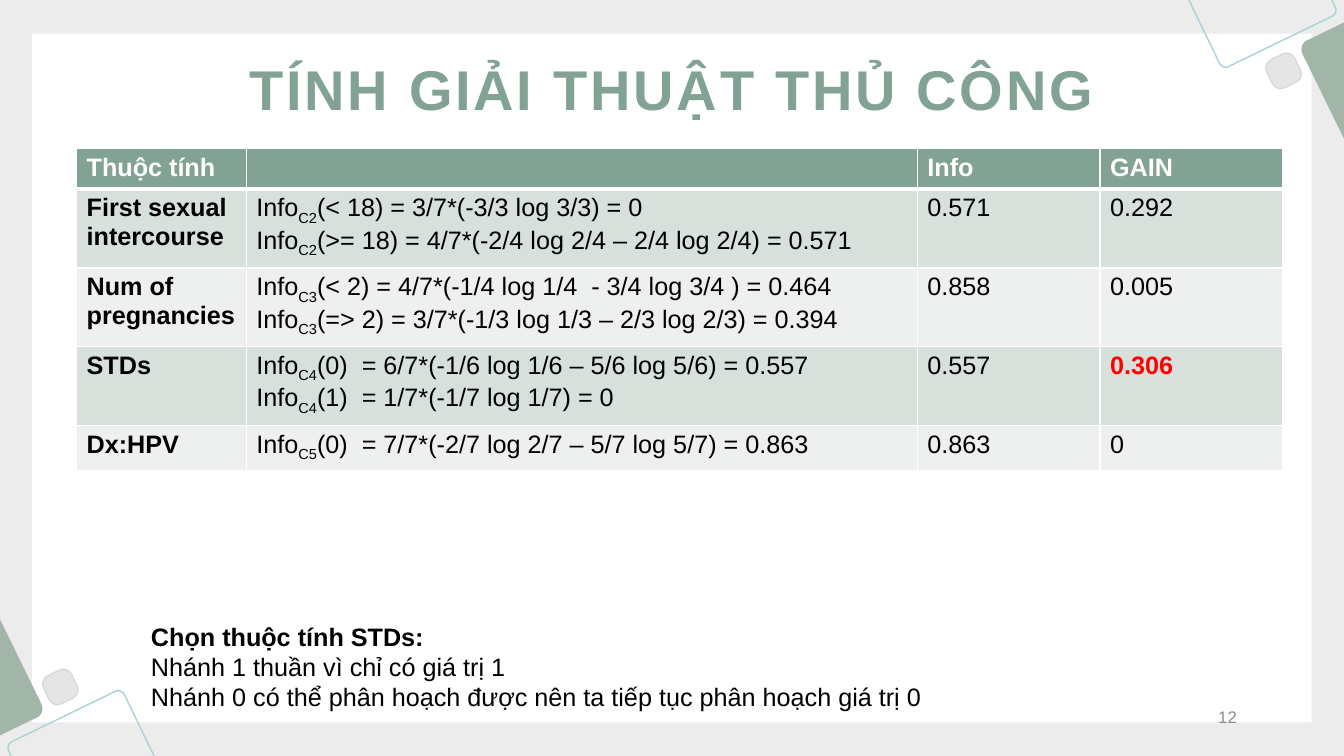
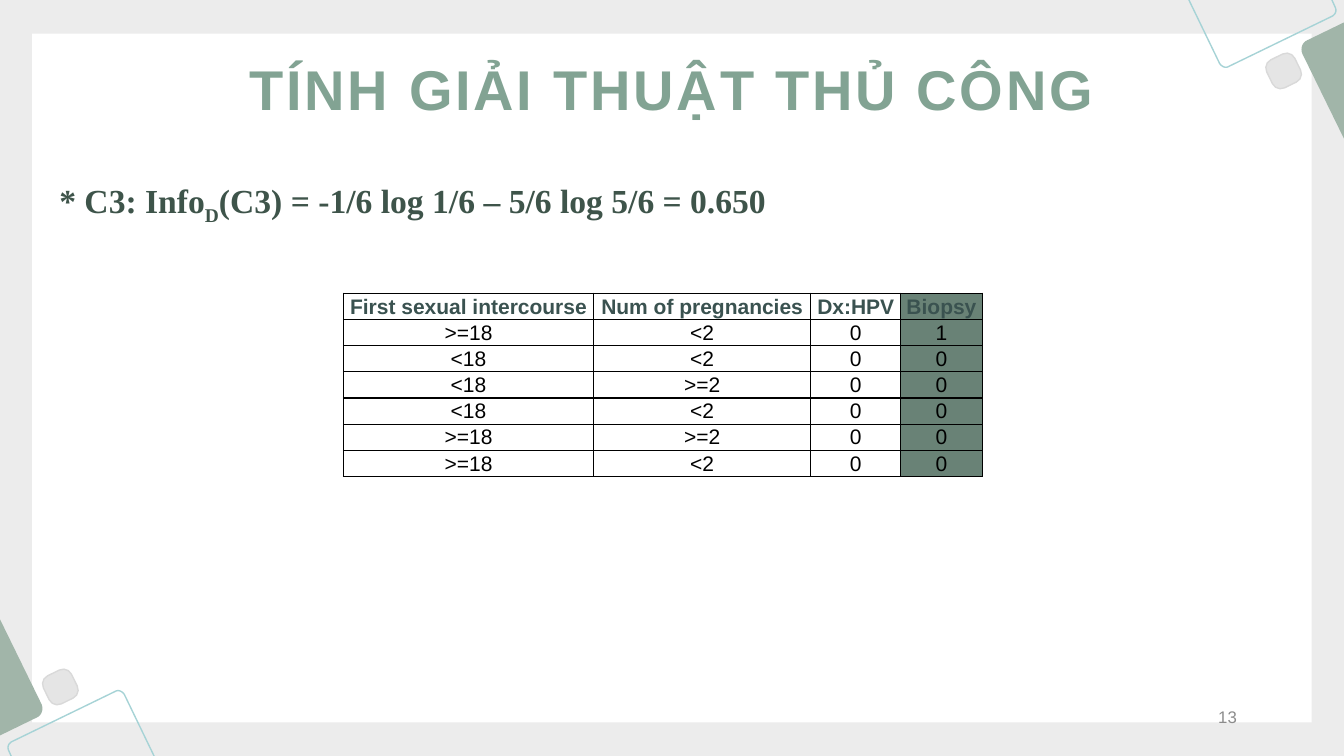
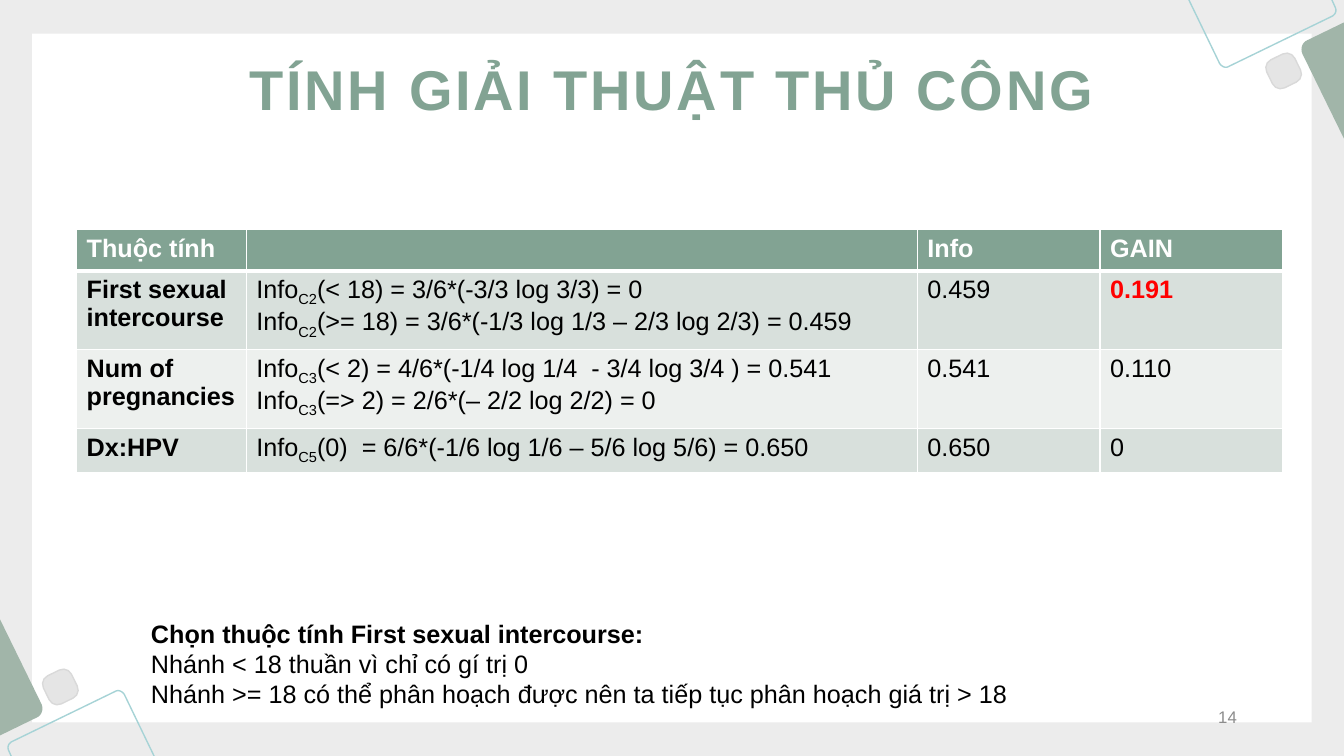
from pptx import Presentation
from pptx.dml.color import RGBColor
from pptx.enum.shapes import MSO_SHAPE
from pptx.enum.text import MSO_ANCHOR, PP_ALIGN
from pptx.oxml.ns import qn
from pptx.util import Pt
from lxml.etree import SubElement

WHITE = RGBColor(0xFF, 0xFF, 0xFF)
BLACK = RGBColor(0, 0, 0)
RED = RGBColor(0xFF, 0, 0)
PAPER = RGBColor(0xEC, 0xEC, 0xEC)
GREEN = RGBColor(0x82, 0xA3, 0x93)
SAGE = RGBColor(0xA1, 0xB5, 0xA9)
MOSS = RGBColor(0x69, 0x82, 0x76)
PINE = RGBColor(0x3E, 0x54, 0x4A)
TEAL = RGBColor(0x3A, 0x52, 0x50)
AQUA = RGBColor(0xA6, 0xD3, 0xD6)
STONE = RGBColor(0xE5, 0xE5, 0xE5)
EDGE = RGBColor(0xD9, 0xD9, 0xD9)
GRAY = RGBColor(0x8C, 0x8C, 0x8C)
BANDS = RGBColor(0xD8, 0xE0, 0xDC), RGBColor(0xED, 0xF0, 0xEE)

TITLE = "TÍNH GIẢI THUẬT THỦ CÔNG"
HEAD = ["Thuộc tính", "", "Info", "GAIN"]
FIRST = "First sexual intercourse"
NUM = "Num of pregnancies"
HPV = "Dx:HPV"

GAINS = [
    {
        "page": 12, "top": 105.84, "best": "0.306", "base": 440,
        "rows": [
            (FIRST, "C2", ["(< 18) = 3/7*(-3/3 log 3/3) = 0",
                           "(>= 18) = 4/7*(-2/4 log 2/4 – 2/4 log 2/4) = 0.571"],
             "0.571", "0.292"),
            (NUM, "C3", ["(< 2) = 4/7*(-1/4 log 1/4  - 3/4 log 3/4 ) = 0.464",
                         "(=> 2) = 3/7*(-1/3 log 1/3 – 2/3 log 2/3) = 0.394"],
             "0.858", "0.005"),
            ("STDs", "C4", ["(0)  = 6/7*(-1/6 log 1/6 – 5/6 log 5/6) = 0.557",
                            "(1)  = 1/7*(-1/7 log 1/7) = 0"],
             "0.557", "0.306"),
            (HPV, "C5", ["(0)  = 7/7*(-2/7 log 2/7 – 5/7 log 5/7) = 0.863"],
             "0.863", "0"),
        ],
        "notes": ["Chọn thuộc tính STDs:",
                  "Nhánh 1 thuần vì chỉ có giá trị 1",
                  "Nhánh 0 có thể phân hoạch được nên ta tiếp tục phân hoạch giá trị 0"],
    },
    {
        "page": 14, "top": 164.16, "best": "0.191", "base": 438,
        "rows": [
            (FIRST, "C2", ["(< 18) = 3/6*(-3/3 log 3/3) = 0",
                           "(>= 18) = 3/6*(-1/3 log 1/3 – 2/3 log 2/3) = 0.459"],
             "0.459", "0.191"),
            (NUM, "C3", ["(< 2) = 4/6*(-1/4 log 1/4  - 3/4 log 3/4 ) = 0.541",
                         "(=> 2) = 2/6*(– 2/2 log 2/2) = 0"],
             "0.541", "0.110"),
            (HPV, "C5", ["(0)  = 6/6*(-1/6 log 1/6 – 5/6 log 5/6) = 0.650"],
             "0.650", "0"),
        ],
        "notes": ["Chọn thuộc tính First sexual intercourse:",
                  "Nhánh < 18 thuần vì chỉ có gí trị 0",
                  "Nhánh >= 18 có thể phân hoạch được nên ta tiếp tục phân hoạch giá trị > 18"],
    },
]

ENTROPY = ("* C3: Info", "D", "(C3) = -1/6 log 1/6 – 5/6 log 5/6 = 0.650")
SAMPLES = [
    [FIRST, NUM, HPV, "Biopsy"],
    [">=18", "<2", "0", "1"],
    ["<18", "<2", "0", "0"],
    ["<18", ">=2", "0", "0"],
    ["<18", "<2", "0", "0"],
    [">=18", ">=2", "0", "0"],
    [">=18", "<2", "0", "0"],
]

FRAME = [
    [(848.9, -0.7)], [(951.1, -0.7)], [(954, 5.8)],
    [(954.7, 7.9), (954, 10.1), (951.8, 11.5)],
    [(877.7, 47.5)],
    [(875.5, 49), (872.6, 47.5), (871.2, 45.4)],
]
WEDGE = [
    [(960.5, 15.8)], [(960.5, 100.1)], [(930.2, 38.2)],
    [(928.8, 34.6), (930.2, 30.2), (933.8, 28.8)],
]
WIDE, HIGH = 960, 540
STEPS = 8


def turn(x, y):
    return WIDE - x, 541.4 - y


def trace(path):
    pts = []
    for part in path:
        if len(part) == 1:
            pts += part
            continue
        ends = [pts[-1], *part]
        for i in range(1, STEPS + 1):
            t = i / STEPS
            mix = (1 - t) ** 3, 3 * t * (1 - t) ** 2, 3 * t * t * (1 - t), t ** 3
            pts.append(tuple(sum(m * e[k] for m, e in zip(mix, ends)) for k in (0, 1)))
    return pts


def paint(shape, fill=None, line=None):
    shape.shadow.inherit = False
    if fill is None:
        shape.fill.background()
    else:
        shape.fill.solid()
        shape.fill.fore_color.rgb = fill
    if line is None:
        shape.line.fill.background()
    else:
        shape.line.color.rgb = line
        shape.line.width = Pt(1)


def outline(slide, pts, fill=None, line=None):
    pts = [(Pt(x), Pt(y)) for x, y in pts]
    pen = slide.shapes.build_freeform(*pts[0])
    pen.add_line_segments(pts[1:], close=True)
    paint(pen.convert_to_shape(), fill, line)


def write(para, line, size, color, bold=False, font="Arial", align=PP_ALIGN.LEFT):
    if isinstance(line, str):
        para.text = line
    else:
        for text in line:
            para.add_run().text = text
        para.runs[1].font._element.set("baseline", "-25000")
    para.alignment = align
    para.font.size = Pt(size)
    for run in para.runs:
        run.font.size = Pt(size)
        run.font.name = font
        run.font.bold = bold
        run.font.color.rgb = color


def fill_in(frame, lines, *args, **style):
    for i, line in enumerate(lines):
        para = frame.add_paragraph() if i else frame.paragraphs[0]
        write(para, line, *args, **style)


def label(slide, box, anchor=MSO_ANCHOR.MIDDLE):
    frame = slide.shapes.add_textbox(*map(Pt, box)).text_frame
    frame.word_wrap = True
    frame.vertical_anchor = anchor
    return frame


def start(deck, page):
    slide = deck.slides.add_slide(deck.slide_layouts[6])
    panel = slide.shapes.add_shape(MSO_SHAPE.RECTANGLE, Pt(23), Pt(24), Pt(914), Pt(492))
    paint(panel, WHITE)
    side = 22.3
    for move in (lambda x, y: (x, y), turn):
        outline(slide, [move(*p) for p in trace(FRAME)], line=AQUA)
        outline(slide, [move(*p) for p in trace(WEDGE)], fill=SAGE)
        x, y = move(916.9, 50.7)
        tile = slide.shapes.add_shape(MSO_SHAPE.ROUNDED_RECTANGLE, Pt(x - side / 2),
                                      Pt(y - side / 2), Pt(side), Pt(side))
        tile.adjustments[0] = 0.29
        tile.rotation = 334
        paint(tile, STONE, EDGE)
    para = label(slide, (100.8, 20.9, 758.2, 83.5)).paragraphs[0]
    write(para, TITLE, 40, GREEN, True, align=PP_ALIGN.CENTER)
    para.runs[0].font._element.set("spc", "200")
    para = label(slide, (678.2, 499.7, 212.4, 25.2)).paragraphs[0]
    write(para, str(page), 12, GRAY, align=PP_ALIGN.RIGHT)
    return slide


def make_grid(slide, left, top, cols, rows):
    box = map(Pt, (left, top, sum(cols), sum(rows)))
    table = slide.shapes.add_table(len(rows), len(cols), *box).table
    table.first_row = table.horz_banding = False
    for col, width in zip(table.columns, cols):
        col.width = Pt(width)
    for row, height in zip(table.rows, rows):
        row.height = Pt(height)
    return table


def dress(cell, fill, color, top=1, base=1):
    props = cell._tc.get_or_add_tcPr()
    for tag, width in (("lnL", 1), ("lnR", 1), ("lnT", top), ("lnB", base)):
        line = SubElement(props, qn("a:" + tag), w=str(Pt(width)))
        solid = SubElement(line, qn("a:solidFill"))
        SubElement(solid, qn("a:srgbClr"), val=str(color))
    cell.fill.solid()
    cell.fill.fore_color.rgb = fill


def gain_slide(deck, data):
    slide = start(deck, data["page"])
    rows = data["rows"]
    highs = [29.2] + [29.2 if len(row[2]) == 1 else 53.3 for row in rows]
    table = make_grid(slide, 54.7, data["top"], (121.2, 479.4, 130.5, 130.5), highs)
    for c, text in enumerate(HEAD):
        cell = table.cell(0, c)
        dress(cell, GREEN, WHITE, base=3)
        write(cell.text_frame.paragraphs[0], text, 18, WHITE, True)
    for r, (name, sub, sums, info, gain) in enumerate(rows, 1):
        lines = [("Info", sub, text) for text in sums]
        for c, part in enumerate(([name], lines, [info], [gain])):
            cell = table.cell(r, c)
            dress(cell, BANDS[(r - 1) % 2], WHITE, top=3 if r == 1 else 1)
            best = c == 3 and gain == data["best"]
            fill_in(cell.text_frame, part, 18, RED if best else BLACK, c == 0 or best)
    frame = label(slide, (100.8, data["base"], 789.8, 72.7), MSO_ANCHOR.TOP)
    fill_in(frame, data["notes"], 18, BLACK)
    for run in frame.paragraphs[0].runs:
        run.font.bold = True


def sample_slide(deck):
    slide = start(deck, 13)
    para = label(slide, (35.3, 108.7, 875.5, 72.7)).paragraphs[0]
    write(para, ENTROPY, 24, PINE, True, "Times New Roman")
    table = make_grid(slide, 245.4, 209.4, (178.6, 155.2, 64.2, 58.3),
                      [18.4] * len(SAMPLES))
    for r, row in enumerate(SAMPLES):
        for c, text in enumerate(row):
            cell = table.cell(r, c)
            dress(cell, MOSS if c == 3 else WHITE, BLACK)
            cell.margin_left = cell.margin_right = cell.margin_top = Pt(0.7)
            cell.margin_bottom = Pt(0)
            cell.vertical_anchor = MSO_ANCHOR.MIDDLE
            write(cell.text_frame.paragraphs[0], text, 15, BLACK if r else TEAL,
                  r == 0, align=PP_ALIGN.CENTER)


def main():
    deck = Presentation()
    deck.slide_width, deck.slide_height = Pt(WIDE), Pt(HIGH)
    back = deck.slide_master.background.fill
    back.solid()
    back.fore_color.rgb = PAPER
    gain_slide(deck, GAINS[0])
    sample_slide(deck)
    gain_slide(deck, GAINS[1])
    deck.save("out.pptx")


if __name__ == "__main__":
    main()
